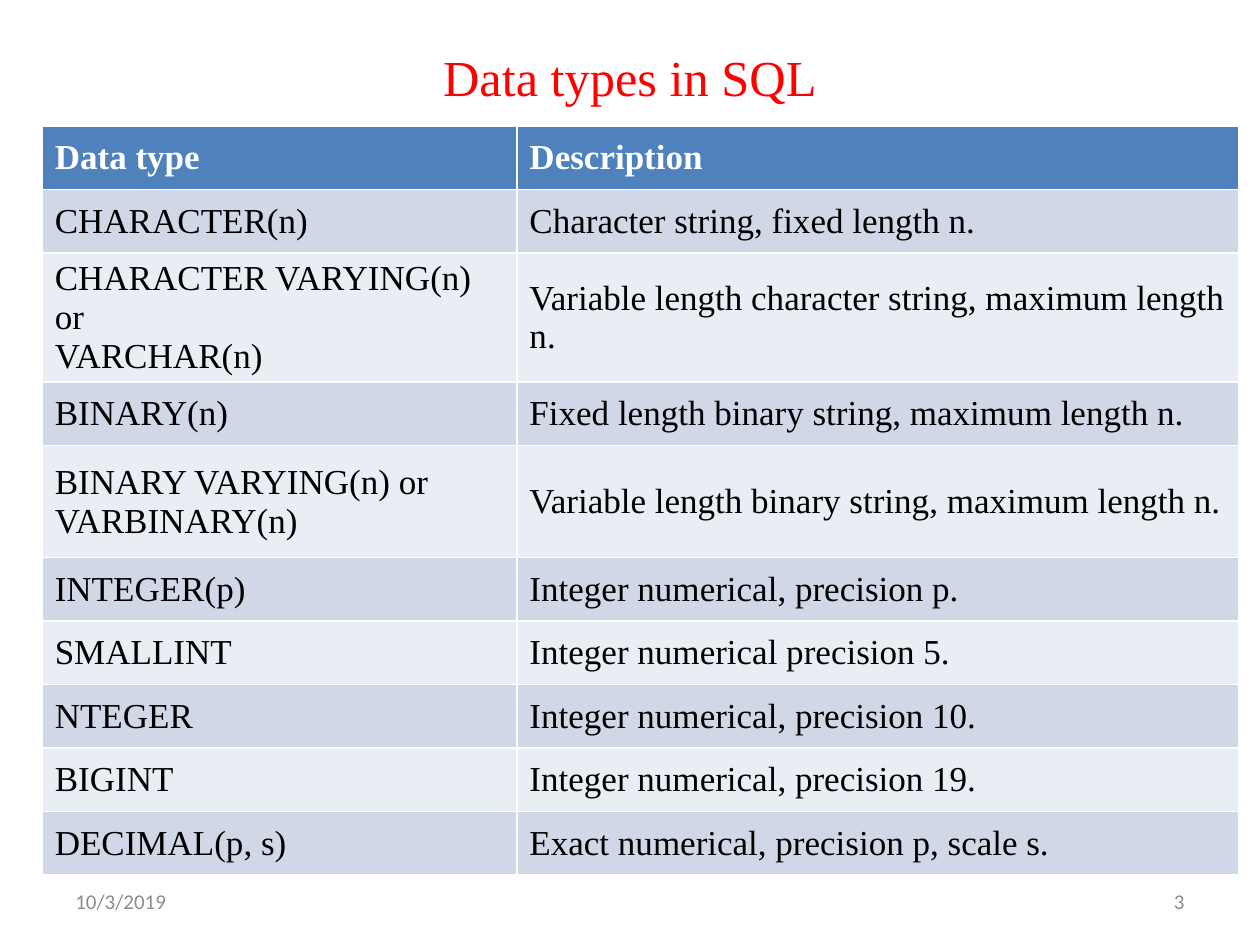
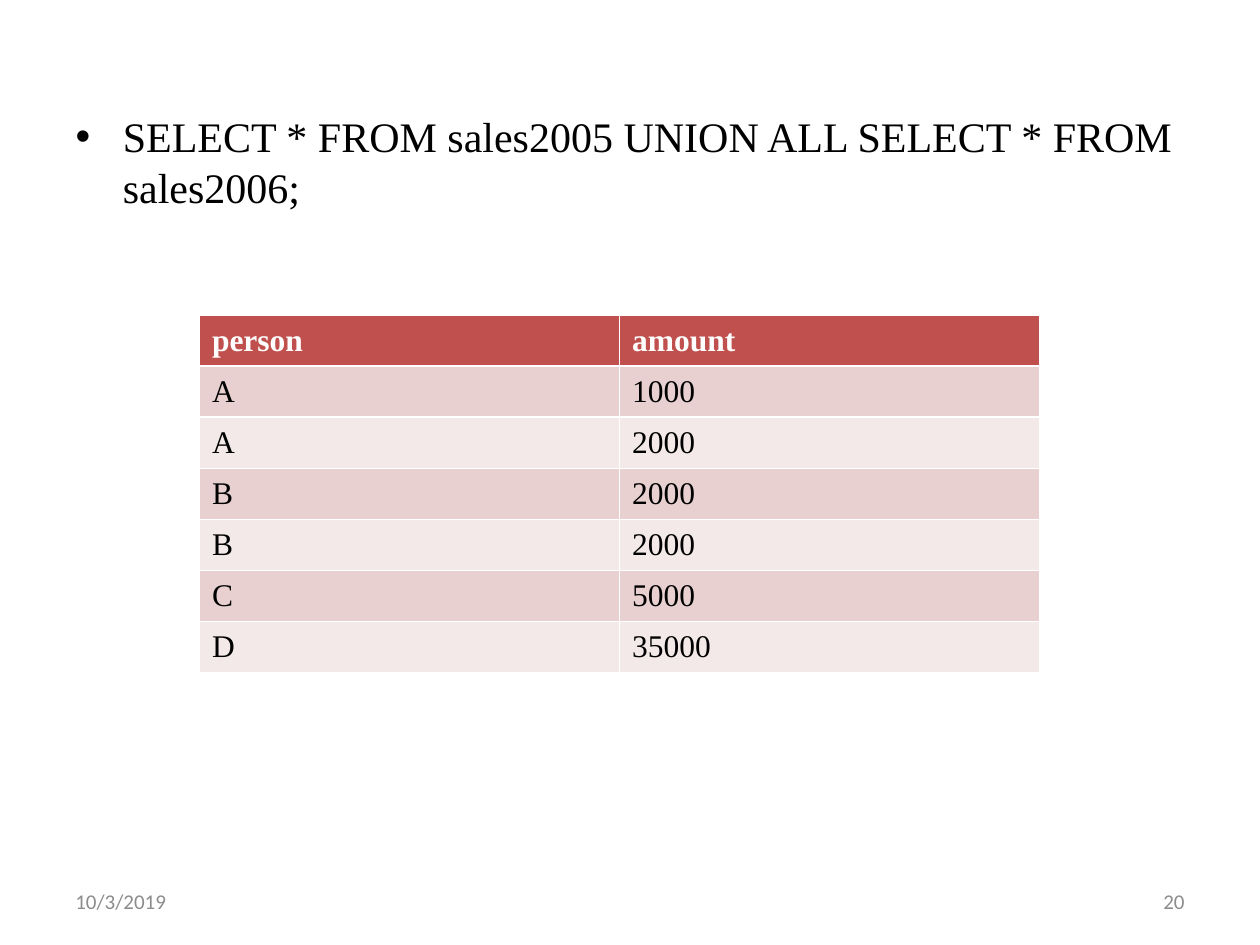
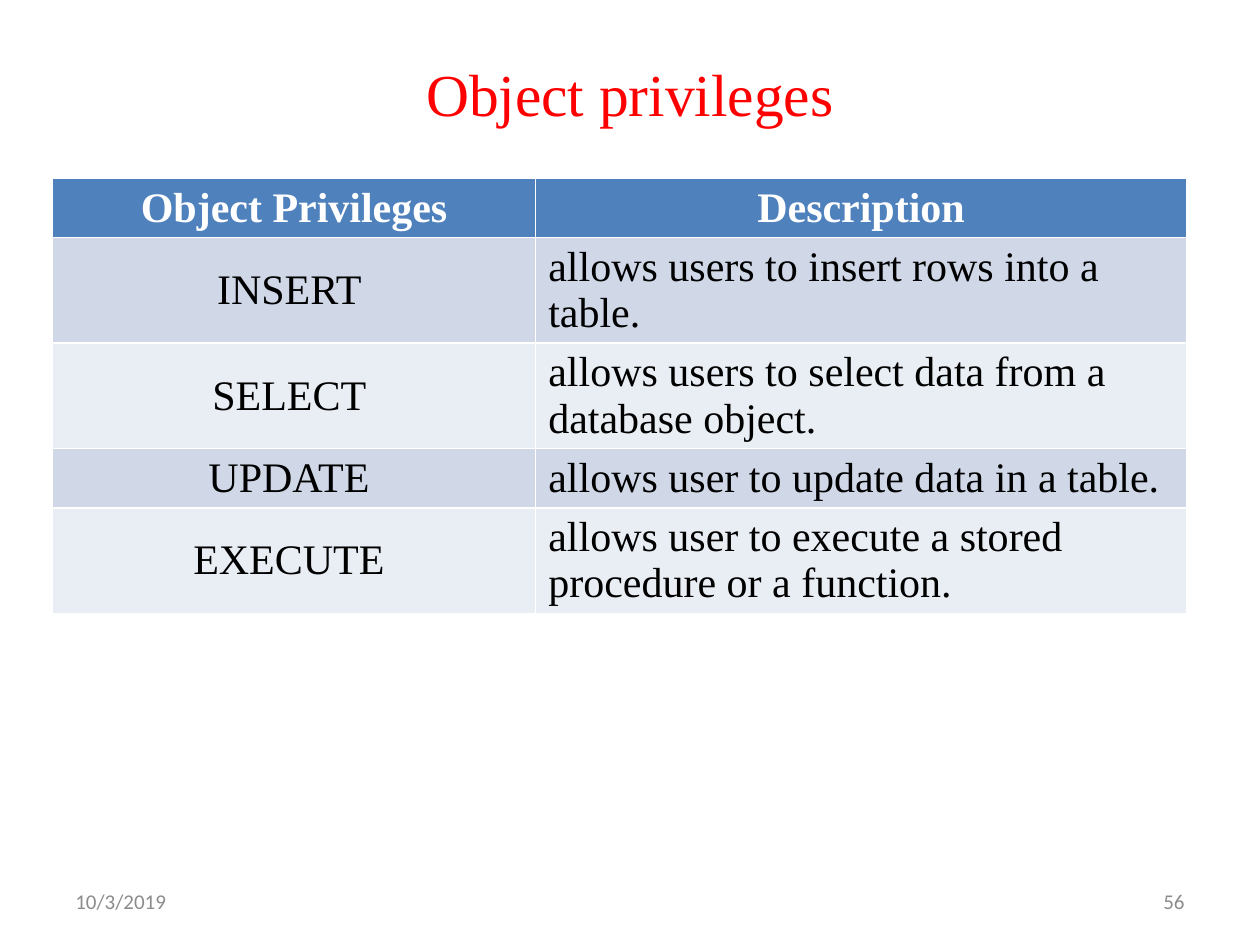
from pptx import Presentation
from pptx.dml.color import RGBColor
from pptx.enum.text import MSO_ANCHOR, MSO_AUTO_SIZE, PP_ALIGN
from pptx.util import Cm, Pt

COLORS = {
    "title": "FF0000",
    "text": "000000",
    "header_text": "FFFFFF",
    "footer": "8C8C8C",
}
BLUE = {"header": "4F81BD", "odd": "D0D8E8", "even": "E9EDF4"}
RED = {"header": "C0504D", "odd": "E8D0D0", "even": "F4E9E9"}
SERIF = "Times New Roman"
TITLE_ONLY, TITLE_AND_CONTENT = 5, 1


def write(frame, text, size, color="text", font=SERIF, bold=False, align=None,
          anchor=MSO_ANCHOR.MIDDLE):
    frame.word_wrap = True
    frame.vertical_anchor = anchor
    paragraph = frame.paragraphs[0]
    paragraph.text = text
    paragraph.alignment = align
    for run in paragraph.runs:
        run.font.name = font
        run.font.size = Pt(size)
        run.font.bold = bold
        run.font.color.rgb = RGBColor.from_string(COLORS[color])


def place(shape, left, top, width, height):
    shape.left, shape.top = Cm(left), Cm(top)
    shape.width, shape.height = Cm(width), Cm(height)


type_rows = [
    ("Data type", "Description"),
    ("CHARACTER(n)", "Character string, fixed length n."),
    ("CHARACTER VARYING(n) or\nVARCHAR(n)",
     "Variable length character string, maximum length n."),
    ("BINARY(n)", "Fixed length binary string, maximum length n."),
    ("BINARY VARYING(n) or\nVARBINARY(n)",
     "Variable length binary string, maximum length n."),
    ("INTEGER(p)", "Integer numerical, precision p."),
    ("SMALLINT", "Integer numerical precision 5."),
    ("NTEGER", "Integer numerical, precision 10."),
    ("BIGINT", "Integer numerical, precision 19."),
    ("DECIMAL(p, s)", "Exact numerical, precision p, scale s."),
]
sales_rows = [
    ("person", "amount"),
    ("A", "1000"),
    ("A", "2000"),
    ("B", "2000"),
    ("B", "2000"),
    ("C", "5000"),
    ("D", "35000"),
]
privilege_rows = [
    ("Object Privileges", "Description"),
    ("INSERT ", "allows users to insert rows into a table."),
    ("SELECT ", "allows users to select data from a database object."),
    ("UPDATE ", "allows user to update data in a table."),
    ("EXECUTE ", "allows user to execute a stored procedure or a function."),
]

pages = [
    {"number": "3", "title": "Data types in SQL", "title_size": 28.8, "title_height": 1.57,
     "rows": type_rows, "left": 0.85, "top": 2.54, "widths": (9.57, 14.55),
     "row_height": 1.28, "tall_height": 2.26, "size": 20, "palette": BLUE, "centered": False},
    {"number": "20", "query": "SELECT * FROM sales2005 UNION ALL SELECT * FROM sales2006;",
     "rows": sales_rows, "left": 4.02, "top": 6.35, "widths": (8.47, 8.47),
     "row_height": 1.03, "size": 18, "palette": RED, "centered": False},
    {"number": "56", "title": "Object privileges", "title_size": 34, "title_height": 2.2,
     "rows": privilege_rows, "left": 1.06, "top": 3.6, "widths": (9.74, 13.12),
     "row_height": 1.03, "size": 24, "palette": BLUE, "centered": True},
]

deck = Presentation()
deck.slide_width, deck.slide_height = Cm(25.4), Cm(19.05)

for page in pages:
    if "title" in page:
        slide = deck.slides.add_slide(deck.slide_layouts[TITLE_ONLY])
        title = slide.shapes.title
        place(title, 1.27, 0.76, 22.86, page["title_height"])
        title.text_frame.auto_size = MSO_AUTO_SIZE.NONE
        write(title.text_frame, page["title"], page["title_size"], color="title",
              align=PP_ALIGN.CENTER)
    else:
        slide = deck.slides.add_slide(deck.slide_layouts[TITLE_AND_CONTENT])
        unused_title = slide.shapes.title.element
        unused_title.getparent().remove(unused_title)
        query = slide.placeholders[1]
        place(query, 1.27, 2.11, 22.86, 14.91)
        write(query.text_frame, page["query"], 24, anchor=MSO_ANCHOR.TOP)

    rows, widths, palette = page["rows"], page["widths"], page["palette"]
    table = slide.shapes.add_table(
        len(rows), len(widths), Cm(page["left"]), Cm(page["top"]),
        Cm(sum(widths)), Cm(page["row_height"] * len(rows))).table
    for column, width in zip(table.columns, widths):
        column.width = Cm(width)
    for r, row in enumerate(rows):
        header = r == 0
        band = "header" if header else "odd" if r % 2 else "even"
        tall = "\n" in row[0]
        table.rows[r].height = Cm(page["tall_height"] if tall else page["row_height"])
        for c, text in enumerate(row):
            cell = table.cell(r, c)
            cell.fill.solid()
            cell.fill.fore_color.rgb = RGBColor.from_string(palette[band])
            cell.vertical_anchor = MSO_ANCHOR.MIDDLE
            centered = page["centered"] and (header or c == 0)
            write(cell.text_frame, text, page["size"], bold=header,
                  color="header_text" if header else "text",
                  align=PP_ALIGN.CENTER if centered else PP_ALIGN.LEFT)

    for left, text, align in [(18.2, page["number"], PP_ALIGN.RIGHT),
                              (1.27, "10/3/2019", PP_ALIGN.LEFT)]:
        footer = slide.shapes.add_textbox(Cm(left), Cm(17.66), Cm(5.93), Cm(1.01))
        write(footer.text_frame, text, 12, color="footer", font="Calibri", align=align)

deck.save("out.pptx")
